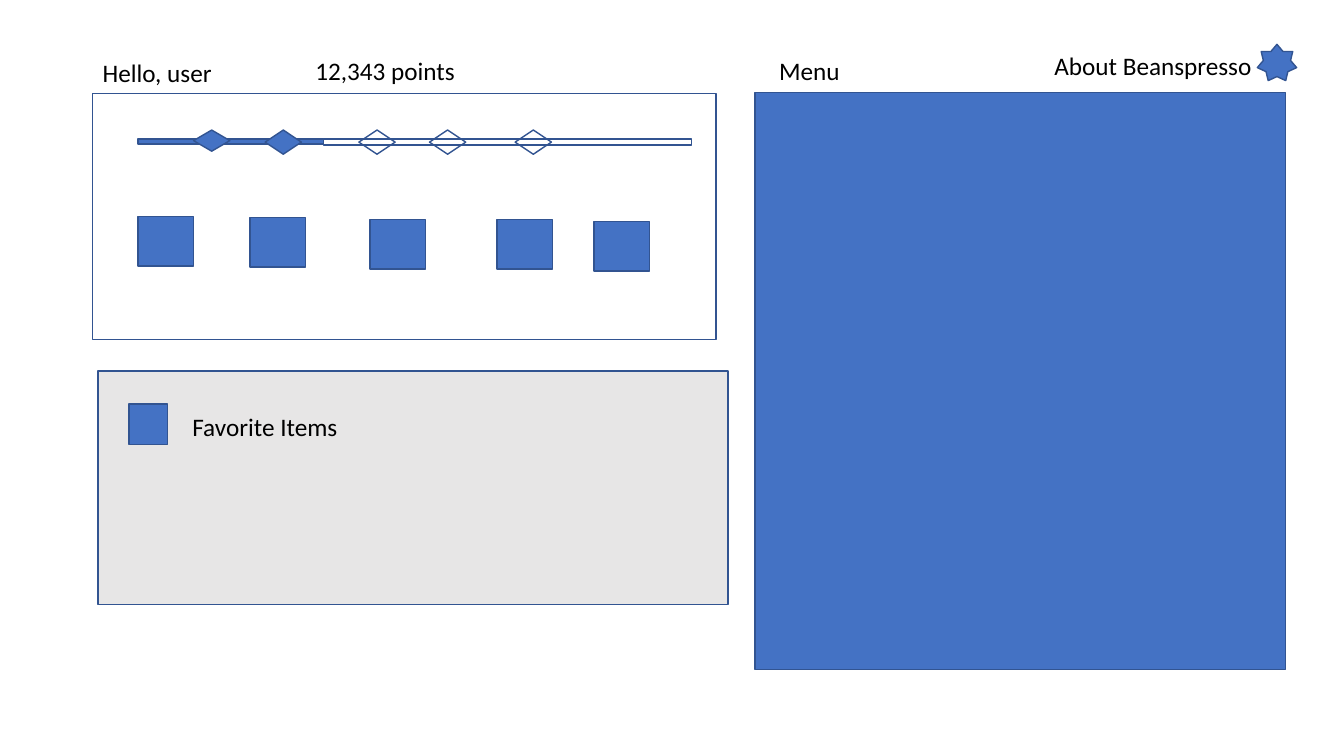
from pptx import Presentation
from pptx.dml.color import RGBColor
from pptx.enum import shapes, text
from pptx.util import Inches, Pt

COLORS = {"blue": "4472C4", "edge": "325491", "white": "FFFFFF",
          "gray": "E7E6E6", "text": "000000"}
FONT = "Calibri"

PANELS = [
    ("white", 0.92, 0.93, 6.18, 2.44),
    ("blue", 7.49, 0.92, 5.26, 5.72),
    ("gray", 0.97, 3.68, 6.25, 2.32),
]
PROGRESS_BARS = [
    ("blue", 1.37, 1.38, 1.84, 0.05),
    ("white", 3.21, 1.38, 3.65, 0.06),
]
MILESTONES = [
    ("blue", 1.92, 0.21),
    ("blue", 2.63, 0.24),
    (None, 3.56, 0.24),
    (None, 4.26, 0.24),
    (None, 5.11, 0.24),
]
REWARDS = [(1.37, 2.15), (2.48, 2.16), (3.67, 2.18), (4.93, 2.18), (5.89, 2.2)]
FAVORITE_ICON = ("blue", 1.28, 4.01, 0.38, 0.4)
STAR = ("blue", 12.47, 0.44, 0.39, 0.36)
LABELS = [
    ("12,343 points", 3.03, 0.5, 1.67),
    ("Hello, user", 0.92, 0.52, 3.03),
    ("Favorite Items", 1.81, 4.03, 2.4),
    ("About Beanspresso", 10.36, 0.45, 2.27),
    ("Menu", 7.63, 0.5, 1.67),
]

prs = Presentation()
prs.slide_width, prs.slide_height = Inches(13.33), Inches(7.5)
s = prs.slides.add_slide(prs.slide_layouts[6])


def rgb(name):
    return RGBColor.from_string(COLORS[name])


def add_shape(kind, fill, *box):
    sp = s.shapes.add_shape(kind, *map(Inches, box))
    sp.shadow.inherit = False
    if fill:
        sp.fill.solid()
        sp.fill.fore_color.rgb = rgb(fill)
    else:
        sp.fill.background()
    sp.line.color.rgb = rgb("edge")
    sp.line.width = Pt(1)


def add_label(words, left, top, width):
    sp = s.shapes.add_textbox(*map(Inches, (left, top, width, 0.4)))
    tf = sp.text_frame
    tf.word_wrap = True
    tf.auto_size = text.MSO_AUTO_SIZE.SHAPE_TO_FIT_TEXT
    p = tf.paragraphs[0]
    p.text = words
    p.font.name = FONT
    p.font.size = Pt(18)
    p.font.color.rgb = rgb("text")


KIND = shapes.MSO_SHAPE
for box in PANELS + PROGRESS_BARS + [FAVORITE_ICON]:
    add_shape(KIND.RECTANGLE, *box)
for fill, left, height in MILESTONES:
    add_shape(KIND.FLOWCHART_DECISION, fill, left, 1.29, 0.36, height)
for left, top in REWARDS:
    add_shape(KIND.FLOWCHART_PROCESS, "blue", left, top, 0.55, 0.49)
add_shape(KIND.STAR_7_POINT, *STAR)
for label in LABELS:
    add_label(*label)

prs.save("out.pptx")
